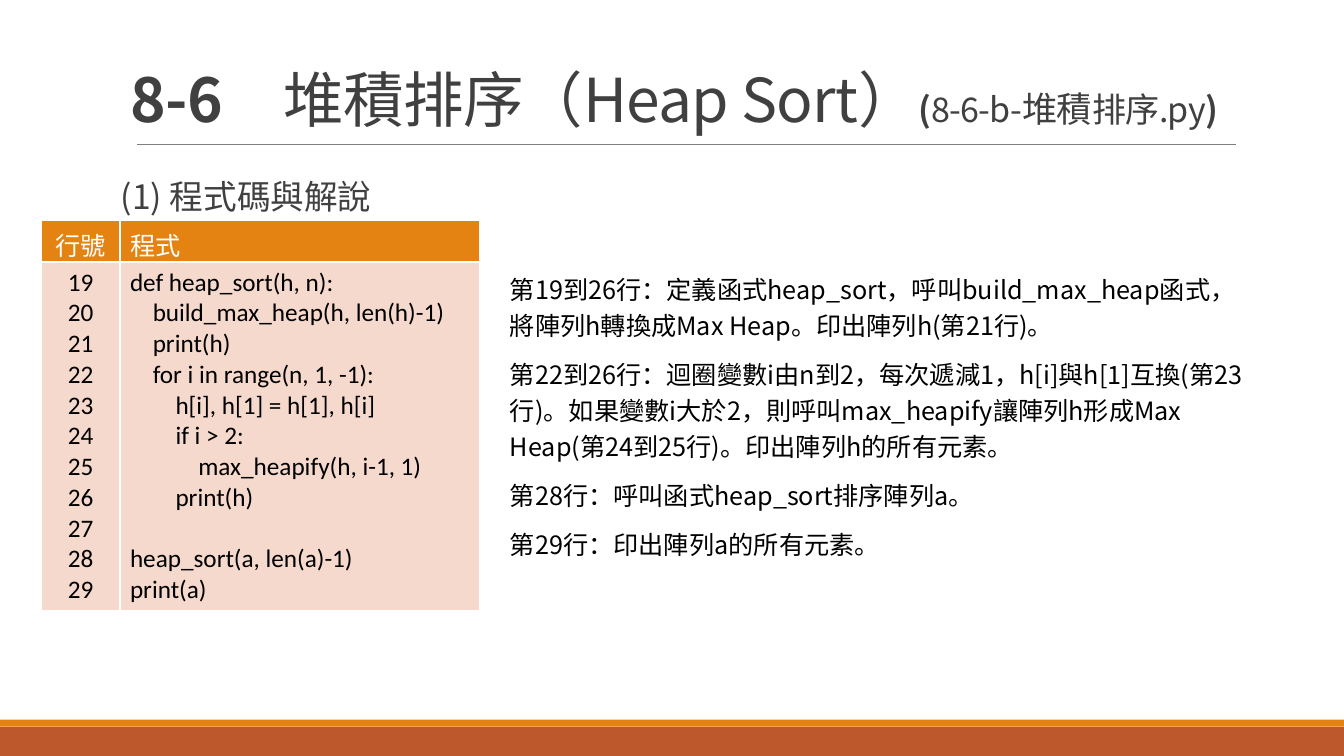
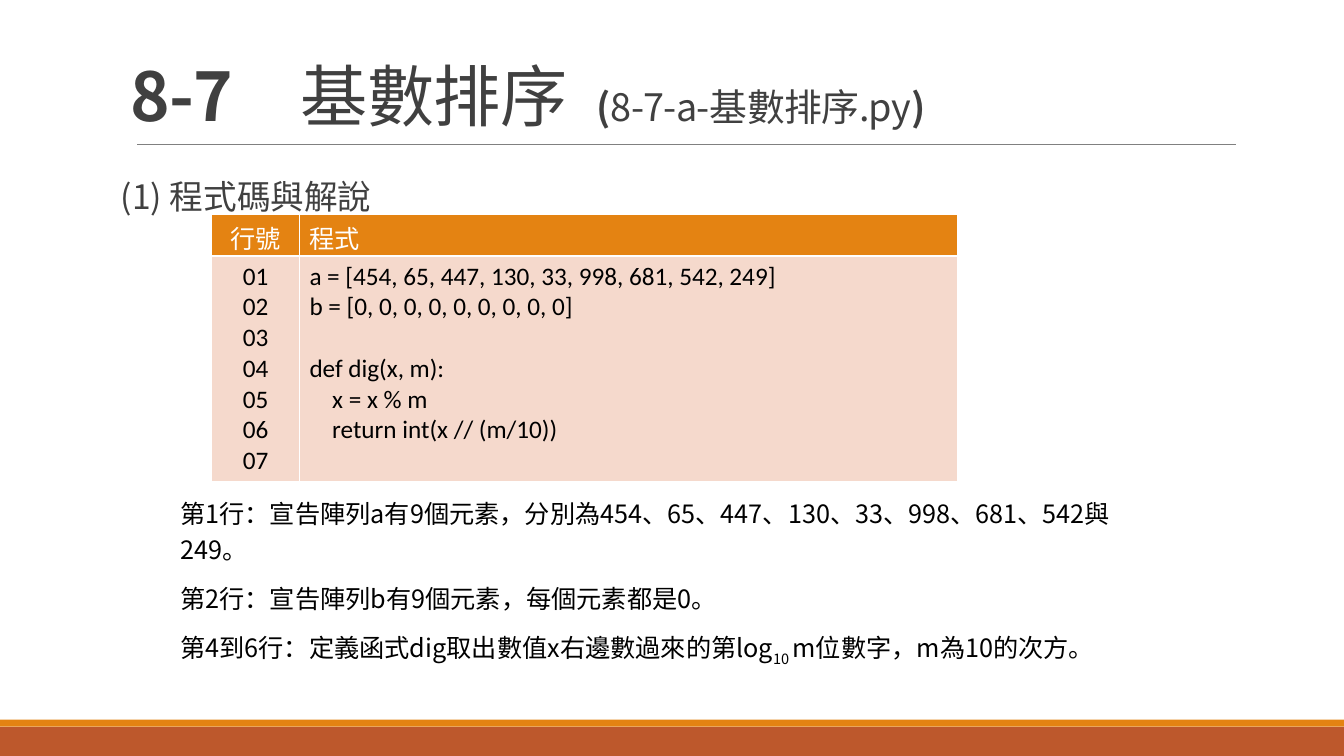
from lxml.etree import SubElement
from pptx import Presentation
from pptx.dml.color import RGBColor
from pptx.enum.shapes import MSO_CONNECTOR as Connector, MSO_SHAPE as Shape
from pptx.enum.text import MSO_ANCHOR as Anchor, PP_ALIGN as Align
from pptx.oxml.ns import qn
from pptx.util import Inches, Pt

COLORS = {
    "text": "404040", "black": "000000", "white": "FFFFFF", "rule": "808080",
    "orange": "E48312", "rust": "BD582C", "peach": "F5D9CC",
}
CJK_FONT = "Noto Sans CJK SC"
CODE_FONT = "Calibri"

HEAP_CODE = """\
def heap_sort(h, n):
    build_max_heap(h, len(h)-1)
    print(h)
    for i in range(n, 1, -1):
        h[i], h[1] = h[1], h[i]
        if i > 2:
            max_heapify(h, i-1, 1)
        print(h)

heap_sort(a, len(a)-1)
print(a)"""

RADIX_CODE = """\
a = [454, 65, 447, 130, 33, 998, 681, 542, 249]
b = [0, 0, 0, 0, 0, 0, 0, 0, 0]

def dig(x, m):
    x = x % m
    return int(x // (m/10))"""

HEAP_NOTES = [
    "第19到26行：定義函式heap_sort，呼叫build_max_heap函式，將陣列h轉換成Max Heap。印出陣列h(第21行)。",
    "第22到26行：迴圈變數i由n到2，每次遞減1，h[i]與h[1]互換(第23行)。如果變數i大於2，"
    "則呼叫max_heapify讓陣列h形成Max Heap(第24到25行)。印出陣列h的所有元素。",
    "第28行：呼叫函式heap_sort排序陣列a。",
    "第29行：印出陣列a的所有元素。",
]
RADIX_NOTES = [
    "第1行：宣告陣列a有9個元素，分別為454、65、447、130、33、998、681、542與249。",
    "第2行：宣告陣列b有9個元素，每個元素都是0。",
    [("第4到6行：定義函式dig取出數值x右邊數過來的第log", {}),
     ("10 ", {"baseline": "-25000"}),
     ("m位數字，m為10的次方。", {})],
]


def rgb(name):
    """Return a palette colour."""
    return RGBColor.from_string(COLORS[name])


def style_paragraph(paragraph, size, color, font=CJK_FONT, spacing=None):
    """Set the font that all runs of a paragraph share."""
    paragraph.font.size = Pt(size)
    paragraph.font.name = font
    paragraph.font.color.rgb = rgb(color)
    defaults = paragraph._p.pPr.find(qn("a:defRPr"))
    if font == CJK_FONT:
        SubElement(defaults, qn("a:ea")).set("typeface", font)
    if spacing is not None:
        defaults.set("spc", str(spacing))


def add_runs(paragraph, content):
    """Write a string, or (text, run attributes) pairs, into a paragraph."""
    pairs = [(content, {})] if isinstance(content, str) else content
    for text, attributes in pairs:
        run = paragraph.add_run()
        run.text = text
        for name, value in attributes.items():
            run.font._element.set(name, value)


def add_text(slide, box, paragraphs, size, color, line_spacing, space=(0, 0), spacing=None):
    """Add a wrapping text box and return its frame."""
    frame = slide.shapes.add_textbox(*map(Inches, box)).text_frame
    frame.word_wrap = True
    for index, content in enumerate(paragraphs):
        paragraph = frame.paragraphs[0] if index == 0 else frame.add_paragraph()
        paragraph.line_spacing = line_spacing
        paragraph.space_before = Pt(space[0] if index else 0)
        paragraph.space_after = Pt(space[1])
        style_paragraph(paragraph, size, color, spacing=spacing)
        add_runs(paragraph, content)
    return frame


def add_band(slide, top, height, color):
    """Add a full-width footer band."""
    band = slide.shapes.add_shape(
        Shape.RECTANGLE, 0, Inches(top), Inches(13.33), Inches(height))
    band.shadow.inherit = False
    band.fill.solid()
    band.fill.fore_color.rgb = rgb(color)
    band.line.fill.background()


def add_section_slide(deck, title, title_size):
    """Add a slide with the shared bands, rule, title and subheading."""
    slide = deck.slides.add_slide(deck.slide_layouts[6])
    add_band(slide, 7.21, 0.29, "rust")
    add_band(slide, 7.14, 0.07, "orange")
    rule = slide.shapes.add_connector(
        Connector.STRAIGHT, *map(Inches, (1.36, 1.43, 12.26, 1.43)))
    rule.line.color.rgb = rgb("rule")
    rule.line.width = Pt(0.5)
    SubElement(rule._element.spPr, qn("a:effectLst"))
    heading = add_text(slide, (1.2, 0.31, 11, 1.08), [title], title_size, "text", 0.85, spacing=-50)
    heading.vertical_anchor = Anchor.BOTTOM
    subheading = add_text(slide, (1.2, 1.5, 11, 0.7), ["(1) 程式碼與解說"], 24, "text", 1.5)
    subheading.margin_left = subheading.margin_right = 0
    return slide


def fill_cell(cell, lines, fill, color, align):
    """Fill a table cell with one paragraph per line."""
    cell.fill.solid()
    cell.fill.fore_color.rgb = rgb(fill)
    cell.text = "\n".join(lines)
    for paragraph in cell.text_frame.paragraphs:
        paragraph.alignment = align
        style_paragraph(paragraph, 18, color, CODE_FONT)


def add_listing(slide, left, top, widths, code, numbers):
    """Add a two-column table of line numbers and code."""
    heights = (0.41, 0.1 + 0.305 * len(numbers))
    table = slide.shapes.add_table(
        2, 2, *map(Inches, (left, top, sum(widths), sum(heights)))).table
    table.first_row = table.horz_banding = False
    for column, width in zip(table.columns, widths):
        column.width = Inches(width)
    for row, height in zip(table.rows, heights):
        row.height = Inches(height)
    columns = (
        ("行號", [f"{number:02}" for number in numbers], Align.CENTER),
        ("程式", code.split("\n"), Align.LEFT),
    )
    for index, (header, lines, align) in enumerate(columns):
        fill_cell(table.cell(0, index), [header], "orange", "white", align)
        fill_cell(table.cell(1, index), lines, "peach", "black", align)


def add_notes_text(slide, box, paragraphs):
    """Add the explanation of the listing."""
    add_text(slide, box, paragraphs, 18, "black", 1.2, (6, 3))


def main():
    """Build and save the two slides."""
    deck = Presentation()
    deck.slide_width, deck.slide_height = Inches(13.33), Inches(7.5)

    heap_title = [
        ("8-6　", {"b": "1"}), ("堆積排序（Heap Sort）", {}),
        ("(", {"sz": "2430", "b": "1"}), ("8-6-b-", {"sz": "2430"}),
        ("堆積", {"sz": "2520"}), ("排序.py", {"sz": "2430"}),
        (")", {"sz": "2430", "b": "1"}),
    ]
    heap = add_section_slide(deck, heap_title, 43.2)
    add_listing(heap, 0.41, 2.19, (0.78, 3.57), HEAP_CODE, range(19, 30))
    add_notes_text(heap, (4.96, 2.61, 7.64, 3.35), HEAP_NOTES)

    radix_title = [
        ("8-7　", {"b": "1"}), ("基數排序", {}), (" ", {"spc": "1000"}),
        ("(", {"sz": "2700", "b": "1"}), ("8-7-a-基數排序.py", {"sz": "2700"}),
        (")", {"sz": "2700", "b": "1"}),
    ]
    radix = add_section_slide(deck, radix_title, 48)
    add_listing(radix, 2.1, 2.13, (0.87, 6.53), RADIX_CODE, range(1, 8))
    add_notes_text(radix, (1.69, 4.83, 10.02, 1.81), RADIX_NOTES)

    deck.save("out.pptx")


if __name__ == "__main__":
    main()
